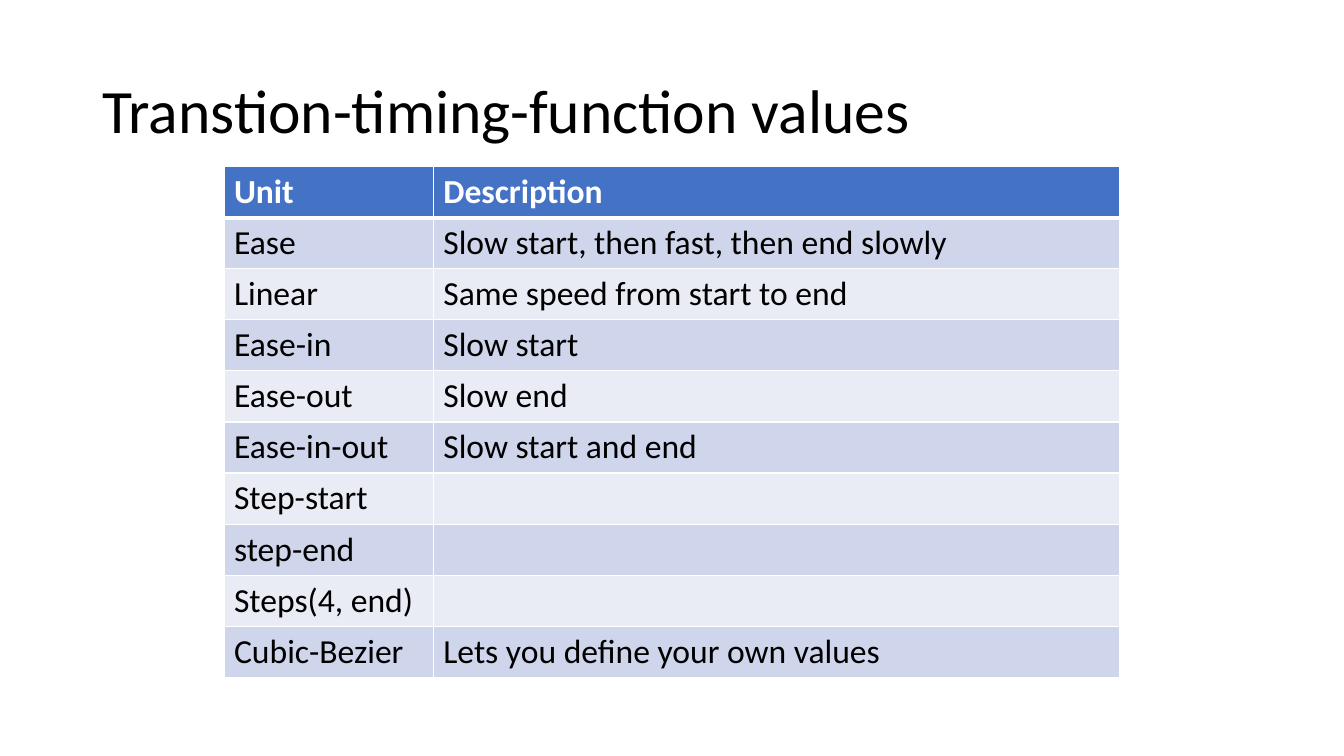
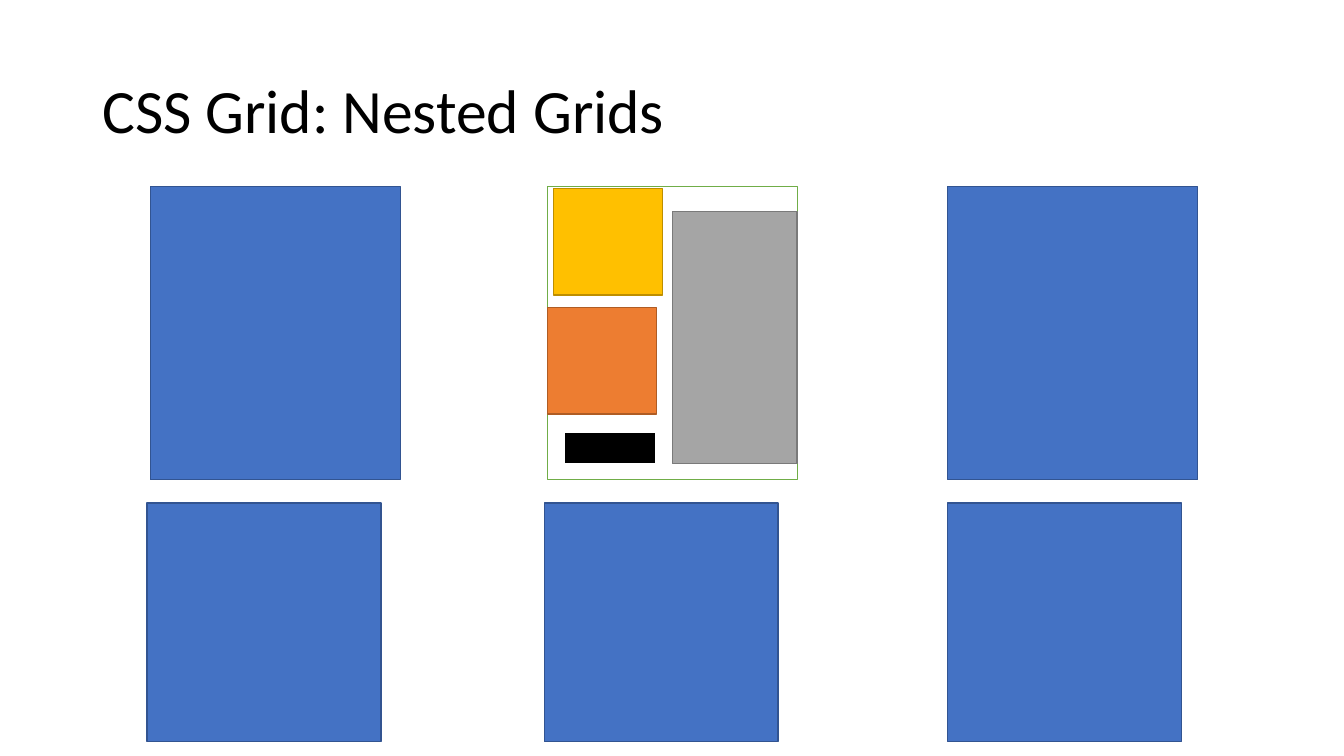
"""Build two slides: a table of timing values and a nested grid diagram."""
from lxml.etree import SubElement
from pptx import Presentation
from pptx.dml.color import RGBColor
from pptx.enum.shapes import MSO_SHAPE
from pptx.enum.text import MSO_ANCHOR
from pptx.oxml.ns import qn
from pptx.util import Pt

FONT = "Calibri"
BLACK, WHITE = "000000", "FFFFFF"
BLUE, BLUE_LINE = "4472C4", "325491"
BANDS = ("CFD5EA", "E9EBF5")


def color(value):
    return RGBColor.from_string(value)


def add_text(paragraph, text, size, ink, bold=False):
    span = paragraph.add_run()
    span.text = text
    span.font.name = FONT
    span.font.size = Pt(size)
    span.font.bold = bold
    span.font.color.rgb = color(ink)


deck = Presentation()
deck.slide_width, deck.slide_height = Pt(960), Pt(540)

pages = []
for title in ("Transtion-timing-function values", "CSS Grid: Nested Grids"):
    page = deck.slides.add_slide(deck.slide_layouts[6])
    box = page.shapes.add_textbox(Pt(66), Pt(28.75), Pt(828), Pt(104.4))
    box.text_frame.word_wrap = True
    box.text_frame.vertical_anchor = MSO_ANCHOR.MIDDLE
    paragraph = box.text_frame.paragraphs[0]
    paragraph.line_spacing = 0.9
    add_text(paragraph, title, 44, BLACK)
    pages.append(page)
timing_page, grid_page = pages

timing_rows = [
    ("Unit", "Description"),
    ("Ease", "Slow start, then fast, then end slowly"),
    ("Linear", "Same speed from start to end"),
    ("Ease-in", "Slow start"),
    ("Ease-out", "Slow end"),
    ("Ease-in-out", "Slow start and end"),
    ("Step-start", ""),
    ("step-end", ""),
    ("Steps(4, end)", ""),
    ("Cubic-Bezier", "Lets you define your own values"),
]
row_height = 36.5
table = timing_page.shapes.add_table(
    len(timing_rows), 2, Pt(160), Pt(119), Pt(640), Pt(row_height * len(timing_rows))
).table
for column, width in zip(table.columns, (149.5, 490.5)):
    column.width = Pt(width)

for row, texts in enumerate(timing_rows):
    table.rows[row].height = Pt(row_height)
    header = row == 0
    for column, text in enumerate(texts):
        cell = table.cell(row, column)
        properties = cell._tc.get_or_add_tcPr()
        borders = {"L": 1, "R": 1, "T": 3 if row == 1 else 1, "B": 3 if header else 1}
        for side, width in borders.items():
            line = SubElement(properties, qn(f"a:ln{side}"), w=str(Pt(width)))
            SubElement(SubElement(line, qn("a:solidFill")), qn("a:srgbClr"), val=WHITE)
        cell.fill.solid()
        cell.fill.fore_color.rgb = color(BLUE if header else BANDS[(row - 1) % 2])
        if text:
            add_text(cell.text_frame.paragraphs[0], text, 24, WHITE if header else BLACK, header)

outer_tops, outer_sizes = (133.2, 359.3), ((178.6, 209.5), (167, 170.6))
outer_lefts = ((107.3, 391, 676.8), (105.1, 388.8, 676.8))
rectangles = []
for row, lefts in enumerate(outer_lefts):
    for column, left in enumerate(lefts):
        nested = (row, column) == (0, 1)
        fill, outline = (WHITE, "70AD47") if nested else (BLUE, BLUE_LINE)
        rectangles.append((left, outer_tops[row], *outer_sizes[row], fill, outline, 1))
rectangles += [
    (395.3, 134.6, 77.8, 76.3, "FFC000", "BD8E00", 1),
    (480.2, 151.2, 89.3, 180, "A5A5A5", "7A7A7A", 1),
    (391, 219.6, 77.8, 76.3, "ED7D31", "AF5C24", 1),
    (402.5, 308.9, 66.2, 22.3, BLACK, WHITE, 1.5),
]
for left, top, width, height, fill, outline, weight in rectangles:
    rectangle = grid_page.shapes.add_shape(
        MSO_SHAPE.RECTANGLE, Pt(left), Pt(top), Pt(width), Pt(height)
    )
    rectangle.shadow.inherit = False
    rectangle.fill.solid()
    rectangle.fill.fore_color.rgb = color(fill)
    rectangle.line.color.rgb = color(outline)
    rectangle.line.width = Pt(weight)

deck.save("out.pptx")
